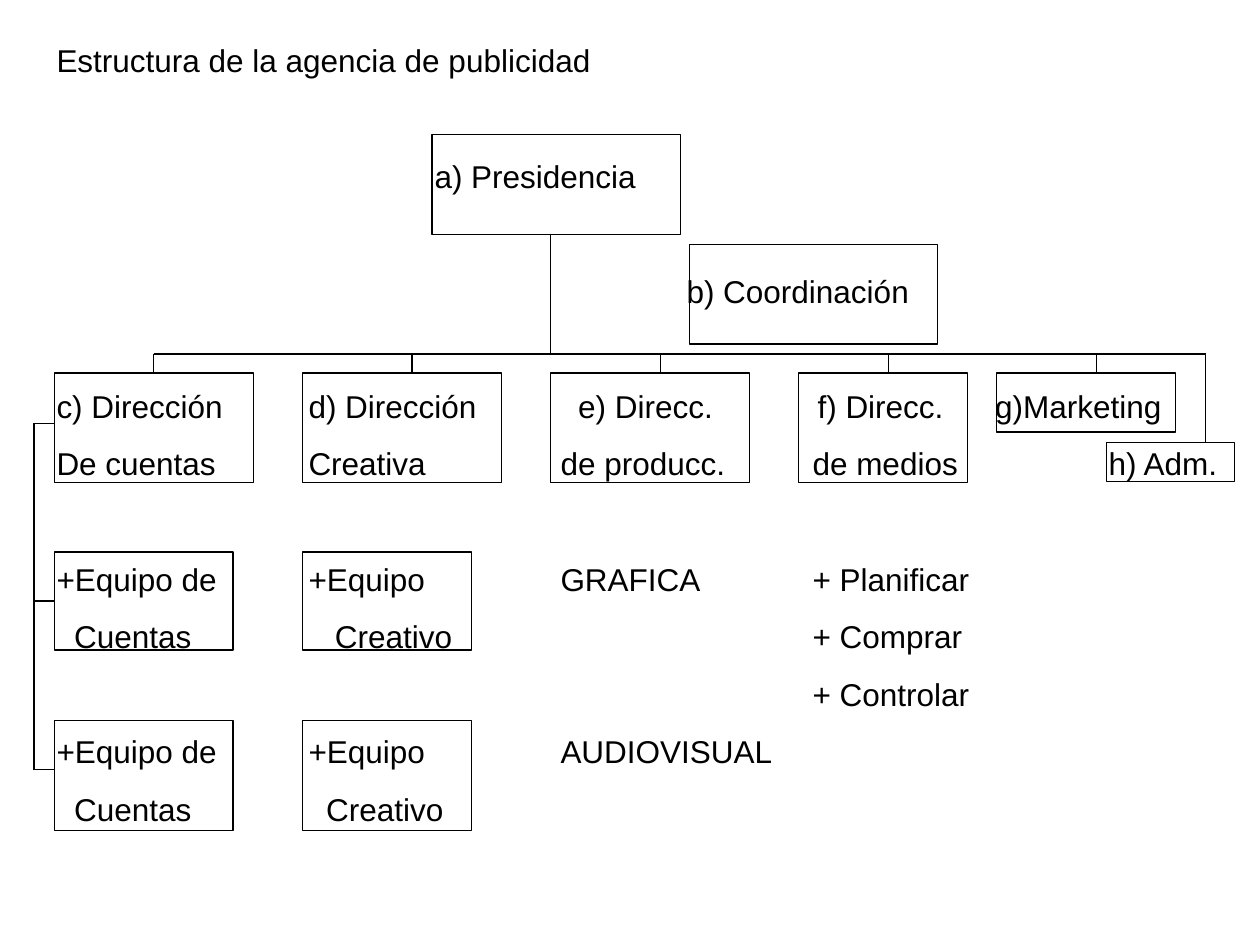
from dataclasses import dataclass

from lxml import etree
from pptx import Presentation
from pptx.dml.color import RGBColor
from pptx.enum.shapes import MSO_CONNECTOR, MSO_SHAPE
from pptx.oxml.ns import qn
from pptx.util import Inches, Pt

RECTANGLE = MSO_SHAPE.RECTANGLE
STRAIGHT = MSO_CONNECTOR.STRAIGHT
TOP_SITE, LEFT_SITE = 0, 1


@dataclass(frozen=True)
class Theme:
    ink: RGBColor = RGBColor(0, 0, 0)
    font: str = "Arial"
    size: Pt = Pt(18)
    line: Pt = Pt(0.75)
    row_gap: Pt = Pt(11.3)
    block_gap: Pt = Pt(44.2)


THEME = Theme()

# Text rows: (starts a new block, [(tab position, text), ...])
ROWS = [
    (False, [(0, "Estructura de la agencia de publicidad")]),
    (True, [(3, "a) Presidencia")]),
    (True, [(5, "b) Coordinación")]),
    (True, [(0, "c) Dirección"), (2, "d) Dirección"), (4.14, "e) Direcc."),
            (6.04, "f) Direcc."), (7.45, "g)Marketing")]),
    (False, [(0, "De cuentas"), (2, "Creativa"), (4, "de producc."),
             (6, "de medios"), (8.35, "h) Adm.")]),
    (True, [(0, "+Equipo de"), (2, "+Equipo"), (4, "GRAFICA"), (6, "+ Planificar")]),
    (False, [(0.14, "Cuentas"), (2.21, "Creativo"), (6, "+ Comprar")]),
    (False, [(6, "+ Controlar")]),
    (False, [(0, "+Equipo de"), (2, "+Equipo"), (4, "AUDIOVISUAL")]),
    (False, [(0.14, "Cuentas"), (2.14, "Creativo")]),
]

# Vertical levels and column edges of the chart, in inches
DIRECTION_TOP, BUS_Y, SPINE_X = 2.96, 2.81, 0.27
COLUMNS = [0.43 + 1.97 * index for index in range(4)]


def add_tab_stops(paragraph, positions):
    tab_list = etree.SubElement(paragraph._p.get_or_add_pPr(), qn("a:tabLst"))
    for position in positions:
        etree.SubElement(tab_list, qn("a:tab"), pos=str(int(Inches(position))), algn="l")


def add_labels(slide, left, top, width, height):
    """Write all rows in one text box, aligned by tab stops."""
    box = slide.shapes.add_textbox(Inches(left), Inches(top), Inches(width), Inches(height))
    frame = box.text_frame
    frame.word_wrap = True
    for index, (new_block, cells) in enumerate(ROWS):
        paragraph = frame.add_paragraph() if index else frame.paragraphs[0]
        paragraph.text = "".join(("\t" if x else "") + text for x, text in cells)
        if index:
            paragraph.space_before = THEME.block_gap if new_block else THEME.row_gap
        stops = [x for x, _ in cells if x]
        if stops:
            add_tab_stops(paragraph, stops)
        paragraph.font.name = THEME.font
        paragraph.font.size = THEME.size
        paragraph.font.color.rgb = THEME.ink


def add_box(slide, left, top, width, height):
    shape = slide.shapes.add_shape(
        RECTANGLE, Inches(left), Inches(top), Inches(width), Inches(height))
    shape.shadow.inherit = False
    shape.fill.background()
    shape.line.color.rgb = THEME.ink
    shape.line.width = THEME.line
    return shape


def add_line(slide, x1, y1, x2, y2):
    connector = slide.shapes.add_connector(
        STRAIGHT, Inches(x1), Inches(y1), Inches(x2), Inches(y2))
    connector.line.color.rgb = THEME.ink
    connector.line.width = THEME.line
    etree.SubElement(connector._element.spPr, qn("a:effectLst"))
    return connector


def add_management(slide):
    """Presidency, coordination and the row of departments under the bus line."""
    add_box(slide, 3.43, 1.07, 1.97, 0.79)
    add_box(slide, 5.47, 1.94, 1.97, 0.79)
    directions = [add_box(slide, left, DIRECTION_TOP, width, 0.87)
                  for left, width in zip(COLUMNS, (1.58, 1.58, 1.58, 1.34))]
    add_box(slide, 7.91, DIRECTION_TOP, 1.42, 0.47)
    add_box(slide, 8.78, 3.51, 1.02, 0.31)

    add_line(slide, 4.37, 1.86, 4.37, BUS_Y)
    add_line(slide, 1.22, BUS_Y, 8.7, BUS_Y)
    add_line(slide, 8.7, BUS_Y, 9.57, BUS_Y)
    drops = [add_line(slide, x, BUS_Y, x, DIRECTION_TOP)
             for x in (1.22, 3.27, 5.24, 7.05, 8.7)]
    drops[0].end_connect(directions[0], TOP_SITE)
    add_line(slide, 9.57, BUS_Y, 9.57, 3.51)


def add_teams(slide):
    """Account and creative teams, with the spine on the left."""
    account_teams = []
    for top, height in ((4.38, 0.78), (5.72, 0.87)):
        account_teams.append(add_box(slide, COLUMNS[0], top, 1.42, height))
        add_box(slide, COLUMNS[1], top, 1.34, height)

    add_line(slide, SPINE_X, 3.36, SPINE_X, 6.11)
    branches = [add_line(slide, SPINE_X, y, COLUMNS[0], y) for y in (3.36, 4.77, 6.11)]
    branches[1].end_connect(account_teams[0], LEFT_SITE)


def main():
    presentation = Presentation()
    presentation.slide_width = Inches(10)
    presentation.slide_height = Inches(7.5)
    slide = presentation.slides.add_slide(presentation.slide_layouts[6])
    add_labels(slide, 0.35, 0.28, 9.45, 6.33)
    add_management(slide)
    add_teams(slide)
    presentation.save("out.pptx")


if __name__ == "__main__":
    main()
